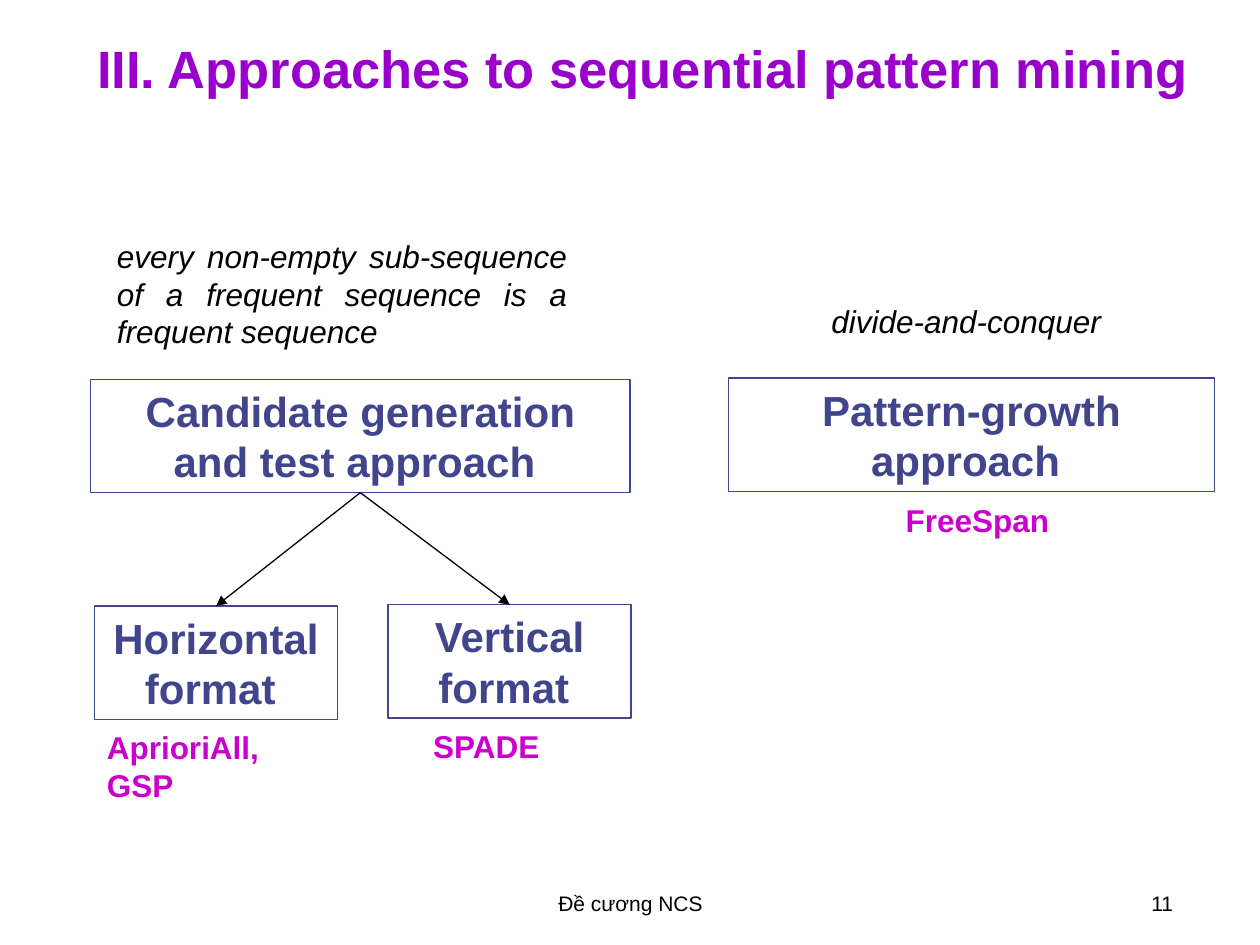
import pptx
import pptx.dml.color
import pptx.enum.dml
import pptx.enum.shapes
import pptx.enum.text
import pptx.oxml
import pptx.oxml.ns
import pptx.util
from pptx.util import Inches

ALIGN = pptx.enum.text.PP_ALIGN
ANCHOR = pptx.enum.text.MSO_ANCHOR
INDIGO, MAGENTA, PURPLE, BLACK = "40458C", "CC00CC", "9900CC", "000000"
BOTTOM, TOP = 2, 0


def rgb(value):
    """Turn a hex string into a colour."""
    return pptx.dml.color.RGBColor.from_string(value)


def write(shape, text, size, color, align=ALIGN.LEFT, bold=False, italic=False,
          wrap=True, grow=True, anchor=ANCHOR.TOP):
    """Fill a shape with one formatted paragraph."""
    frame = shape.text_frame
    frame.text = text
    frame.word_wrap = wrap
    frame.vertical_anchor = anchor
    sizing = pptx.enum.text.MSO_AUTO_SIZE
    frame.auto_size = sizing.SHAPE_TO_FIT_TEXT if grow else sizing.NONE
    paragraph = frame.paragraphs[0]
    paragraph.alignment = align
    for run in paragraph.runs:
        run.font.name = "Arial"
        run.font.size = pptx.util.Pt(size)
        run.font.bold = bold
        run.font.italic = italic
        run.font.color.rgb = rgb(color)


def add_title(slide, text):
    """Place and format the title placeholder."""
    title = slide.shapes.title
    title.left, title.top = Inches(0.67), Inches(0.08)
    title.width, title.height = Inches(8.92), Inches(0.92)
    write(title, text, 30, PURPLE, bold=True, grow=False, anchor=ANCHOR.MIDDLE)


def add_box(shapes, text, left, top, width):
    """Add an outlined approach box."""
    box = shapes.add_shape(pptx.enum.shapes.MSO_SHAPE.RECTANGLE,
                           Inches(left), Inches(top), Inches(width), Inches(0.9))
    box.shadow.inherit = False
    box.fill.background()
    box.line.color.rgb = rgb(INDIGO)
    box.line.width = pptx.util.Pt(0.75)
    write(box, text, 24, INDIGO, ALIGN.CENTER, bold=True)
    return box


def add_text(shapes, text, left, top, width, height, size, color, **style):
    """Add a text box."""
    box = shapes.add_textbox(Inches(left), Inches(top), Inches(width), Inches(height))
    write(box, text, size, color, **style)


def add_algorithms(shapes, text, left, top, width):
    """Add the names of the algorithms below a box."""
    add_text(shapes, text, left, top, width, 0.4, 18, MAGENTA, bold=True, wrap=False)


def add_arrow(shapes, parent, child):
    """Join the bottom of one box to the top of another with an arrow."""
    arrow = shapes.add_connector(
        pptx.enum.shapes.MSO_CONNECTOR.STRAIGHT,
        parent.left + parent.width // 2, parent.top + parent.height,
        child.left + child.width // 2, child.top)
    arrow.begin_connect(parent, BOTTOM)
    arrow.end_connect(child, TOP)
    arrow.line.color.rgb = rgb(BLACK)
    arrow.line.width = pptx.util.Pt(0.75)
    line = arrow.line._get_or_add_ln()
    line.append(pptx.oxml.parse_xml(
        f'<a:tailEnd {pptx.oxml.ns.nsdecls("a")} type="triangle"/>'))
    arrow.element.spPr.append(pptx.oxml.parse_xml(
        f'<a:effectLst {pptx.oxml.ns.nsdecls("a")}/>'))


def main():
    """Build the slide."""
    deck = pptx.Presentation()
    deck.slide_width, deck.slide_height = Inches(10), Inches(7.5)
    slide = deck.slides.add_slide(deck.slide_layouts[5])
    add_title(slide, "III. Approaches to sequential pattern mining")

    growth = slide.shapes.add_group_shape().shapes
    add_box(growth, "Pattern-growth approach ", 5.78, 3, 3.86)
    add_algorithms(growth, "FreeSpan", 7.09, 3.93, 1.34)

    candidate = slide.shapes.add_group_shape().shapes
    approach = add_box(candidate, "Candidate generation and test approach ", 0.72, 3.01, 4.28)
    formats = [
        ("Horizontal format ", 0.75, 4.81, "AprioriAll, GSP", 0.75, 2),
        ("Vertical format ", 3.08, 4.8, "SPADE", 3.34, 1.06),
    ]
    for name, left, top, algorithms, names_left, names_width in formats:
        format_box = add_box(candidate, name, left, top, 1.93)
        add_algorithms(candidate, algorithms, names_left, top + 0.92, names_width)
        add_arrow(candidate, approach, format_box)

    add_text(slide.shapes,
             "every non-empty sub-sequence of a frequent sequence is a frequent sequence ",
             0.83, 1.83, 3.77, 1, 18, BLACK, align=ALIGN.JUSTIFY, italic=True)
    add_text(slide.shapes, "divide-and-conquer", 6.5, 2.35, 2.41, 0.4, 18, BLACK,
             italic=True, wrap=False)
    add_text(slide.shapes, "Đề cương NCS", 3.42, 7.02, 3.17, 0.52, 12, BLACK,
             align=ALIGN.CENTER, grow=False)
    add_text(slide.shapes, "11", 7.08, 7.02, 2.33, 0.52, 12, BLACK,
             align=ALIGN.RIGHT, grow=False)
    deck.save("out.pptx")


if __name__ == "__main__":
    main()
